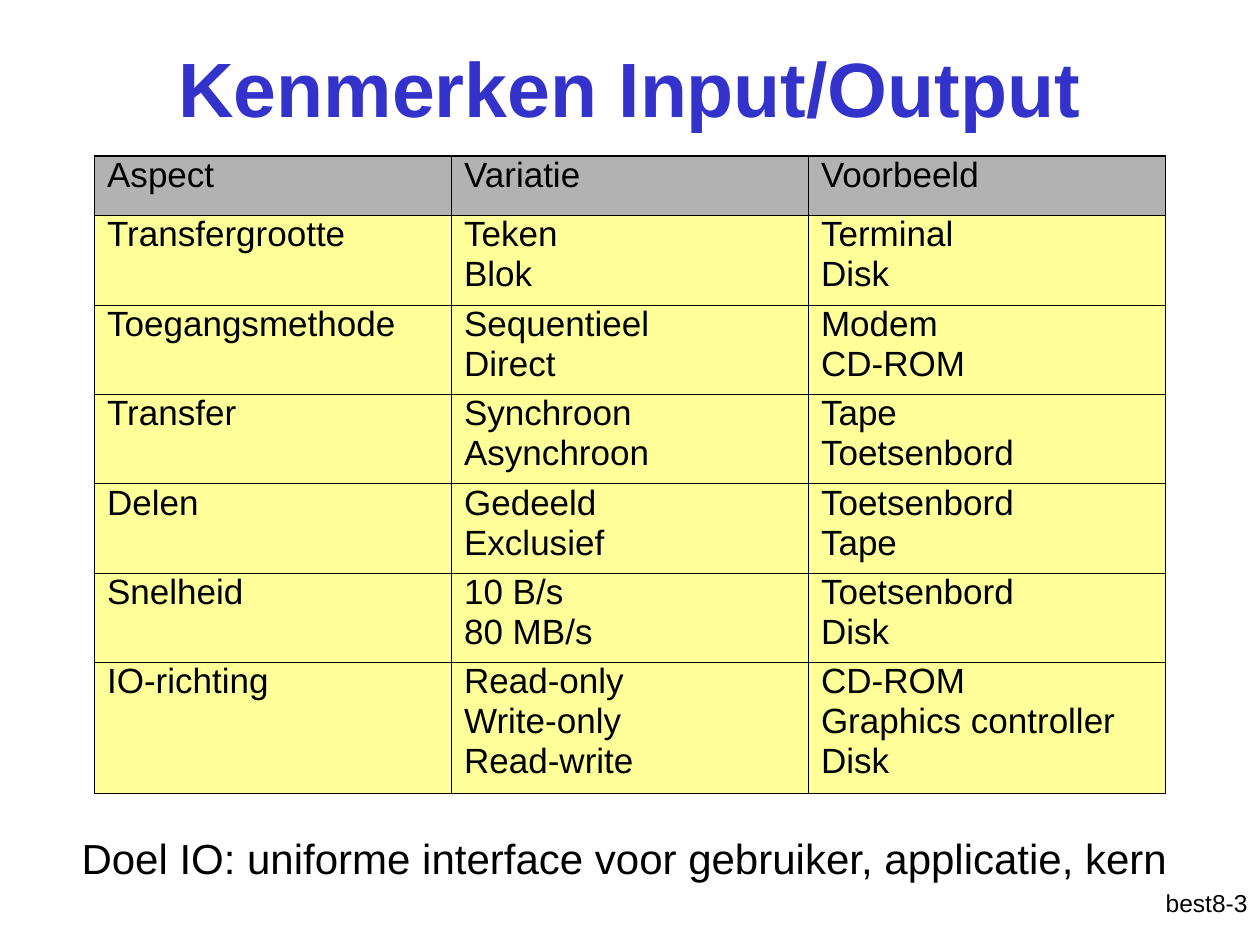
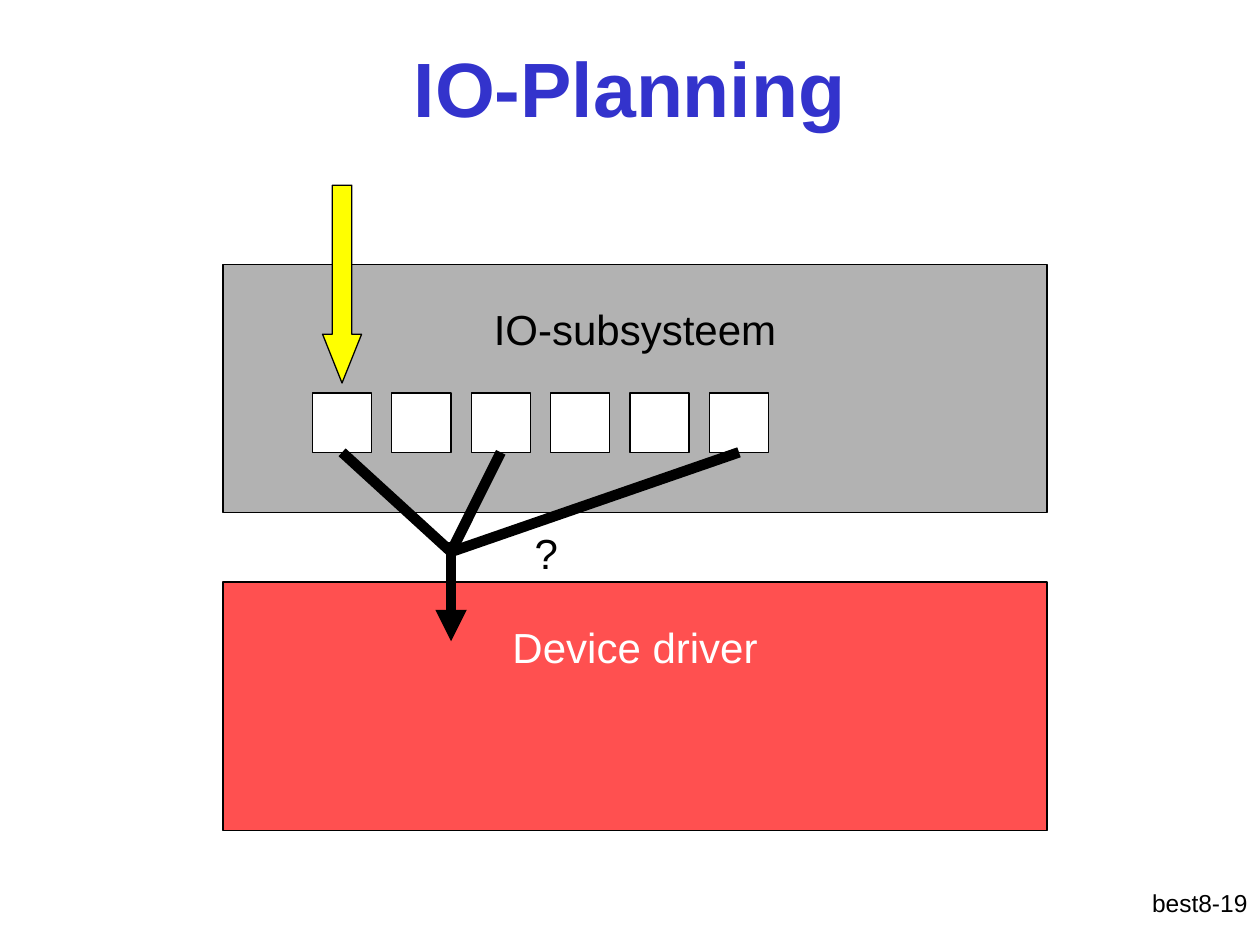
from dataclasses import dataclass

from lxml.etree import SubElement
from pptx import Presentation
from pptx.dml.color import RGBColor
from pptx.enum.shapes import MSO_CONNECTOR, MSO_SHAPE
from pptx.enum.text import MSO_ANCHOR, PP_ALIGN
from pptx.oxml.ns import qn
from pptx.util import Inches, Pt


@dataclass(frozen=True)
class Theme:
    font: str = "Arial"
    black: str = "000000"
    white: str = "FFFFFF"
    blue: str = "3333CC"
    gray: str = "B2B2B2"
    cream: str = "FFFF99"
    red: str = "FF5050"
    yellow: str = "FFFF00"
    title_size: int = 44
    body_size: int = 24
    table_size: int = 20
    footer_size: int = 14
    thin_border: float = 0.45
    thick_border: float = 1.08
    outline: float = 0.75
    flow_width: float = 6


THEME = Theme()

IO_ASPECTS = [
    ("Aspect", "Variatie", "Voorbeeld"),
    ("Transfergrootte", "Teken\nBlok", "Terminal\nDisk"),
    ("Toegangsmethode", "Sequentieel\nDirect", "Modem\nCD-ROM"),
    ("Transfer", "Synchroon\nAsynchroon", "Tape\nToetsenbord"),
    ("Delen", "Gedeeld\nExclusief", "Toetsenbord\nTape"),
    ("Snelheid", "10 B/s\n80 MB/s", "Toetsenbord\nDisk"),
    ("IO-richting", "Read-only\nWrite-only\nRead-write",
     "CD-ROM\nGraphics controller\nDisk"),
]
ROW_HEIGHTS = [0.47] + [0.71] * 5 + [1.04]


def color(value):
    return RGBColor.from_string(value)


def add_run(paragraph, text, size, text_color=THEME.black, bold=False):
    run = paragraph.add_run()
    run.text = text
    run.font.name = THEME.font
    run.font.size = Pt(size)
    run.font.bold = bold
    run.font.color.rgb = color(text_color)


def add_text(slide, box, text, size, text_color=THEME.black, bold=False,
             align=PP_ALIGN.CENTER, anchor=MSO_ANCHOR.TOP):
    shape = slide.shapes.add_textbox(*map(Inches, box))
    shape.text_frame.word_wrap = True
    shape.text_frame.vertical_anchor = anchor
    paragraph = shape.text_frame.paragraphs[0]
    paragraph.alignment = align
    add_run(paragraph, text, size, text_color, bold)


def add_slide(presentation, title, page):
    """Add a blank slide with the shared title and page label."""
    slide = presentation.slides.add_slide(presentation.slide_layouts[6])
    add_text(slide, (7.92, 7, 2.08, 0.5), page, THEME.footer_size,
             align=PP_ALIGN.RIGHT)
    add_text(slide, (0.75, 0.06, 8.5, 1.25), title, THEME.title_size,
             THEME.blue, bold=True, anchor=MSO_ANCHOR.MIDDLE)
    return slide


def add_outlined_shape(slide, kind, box, fill):
    shape = slide.shapes.add_shape(kind, *map(Inches, box))
    shape.shadow.inherit = False
    shape.fill.solid()
    shape.fill.fore_color.rgb = color(fill)
    shape.line.color.rgb = color(THEME.black)
    shape.line.width = Pt(THEME.outline)
    return shape


def add_layer(slide, top, label, fill, text_color):
    layer = add_outlined_shape(slide, MSO_SHAPE.RECTANGLE,
                               (1.77, top, 6.54, 1.97), fill)
    frame = layer.text_frame
    frame.vertical_anchor = MSO_ANCHOR.TOP
    frame.margin_top = Inches(0.31)
    paragraph = frame.paragraphs[0]
    paragraph.alignment = PP_ALIGN.CENTER
    add_run(paragraph, label, THEME.body_size, text_color)


def add_flow_line(slide, start, end, arrow=False):
    line = slide.shapes.add_connector(MSO_CONNECTOR.STRAIGHT,
                                      *map(Inches, start + end))
    line.line.color.rgb = color(THEME.black)
    line.line.width = Pt(THEME.flow_width)
    if arrow:
        SubElement(line.line._get_or_add_ln(), qn("a:tailEnd"), type="triangle")
    SubElement(line._element.spPr, qn("a:effectLst"))
    return line


def set_borders(cell, outer_sides):
    """Draw thick borders on the outer sides and thin ones elsewhere."""
    properties = cell._tc.get_or_add_tcPr()
    for side in "LRTB":
        width = THEME.thick_border if side in outer_sides else THEME.thin_border
        border = SubElement(properties, qn(f"a:ln{side}"), w=str(Pt(width)))
        fill = SubElement(border, qn("a:solidFill"))
        SubElement(fill, qn("a:srgbClr"), val=THEME.black)


def fill_cell(cell, text, fill, outer_sides):
    set_borders(cell, outer_sides)
    cell.fill.solid()
    cell.fill.fore_color.rgb = color(fill)
    frame = cell.text_frame
    for index, line in enumerate(text.split("\n")):
        paragraph = frame.add_paragraph() if index else frame.paragraphs[0]
        paragraph.line_spacing = 0.8
        if index:
            paragraph.space_before = Pt(5)
        add_run(paragraph, line, THEME.table_size)


def add_aspect_table(slide):
    row_count, column_count = len(IO_ASPECTS), len(IO_ASPECTS[0])
    frame = slide.shapes.add_table(row_count, column_count, Inches(0.75),
                                   Inches(1.24), Inches(8.5),
                                   Inches(sum(ROW_HEIGHTS)))
    table = frame.table
    table.first_row = table.horz_banding = False
    for row, height in zip(table.rows, ROW_HEIGHTS):
        row.height = Inches(height)
    for row, texts in enumerate(IO_ASPECTS):
        for column, text in enumerate(texts):
            edges = {"T": row == 0, "B": row == row_count - 1,
                     "L": column == 0, "R": column == column_count - 1}
            outer_sides = [side for side, outer in edges.items() if outer]
            fill = THEME.cream if row else THEME.gray
            fill_cell(table.cell(row, column), text, fill, outer_sides)


def add_features_slide(presentation):
    slide = add_slide(presentation, "Kenmerken Input/Output", "best8-3")
    add_aspect_table(slide)
    add_text(slide, (0.27, 6.56, 9.37, 0.5),
             "Doel IO: uniforme interface voor gebruiker, applicatie, kern",
             THEME.body_size)


def add_planning_slide(presentation):
    slide = add_slide(presentation, "IO-Planning", "best8-19")
    add_layer(slide, 2.1, "IO-subsysteem", THEME.gray, THEME.black)
    add_layer(slide, 4.62, "Device driver", THEME.red, THEME.white)
    requests = [
        add_outlined_shape(slide, MSO_SHAPE.RECTANGLE,
                           (2.48 + 0.63 * index, 3.12, 0.47, 0.47), THEME.white)
        for index in range(6)
    ]
    new_request = add_outlined_shape(slide, MSO_SHAPE.DOWN_ARROW,
                                     (2.56, 1.47, 0.31, 1.57), THEME.yellow)
    new_request.adjustments[0] = 0.5
    new_request.adjustments[1] = 1.25

    junction = (3.58, 4.38)
    add_flow_line(slide, (3.58, 4.3), (3.58, 5.09), arrow=True)
    for index in (0, 2, 5):
        line = add_flow_line(slide, junction, junction)
        line.end_connect(requests[index], 2)
    add_text(slide, (3.35, 4.14, 1.97, 0.5), "?", THEME.body_size)


def main():
    presentation = Presentation()
    presentation.slide_width = Inches(10)
    presentation.slide_height = Inches(7.5)
    add_features_slide(presentation)
    add_planning_slide(presentation)
    presentation.save("out.pptx")


if __name__ == "__main__":
    main()
